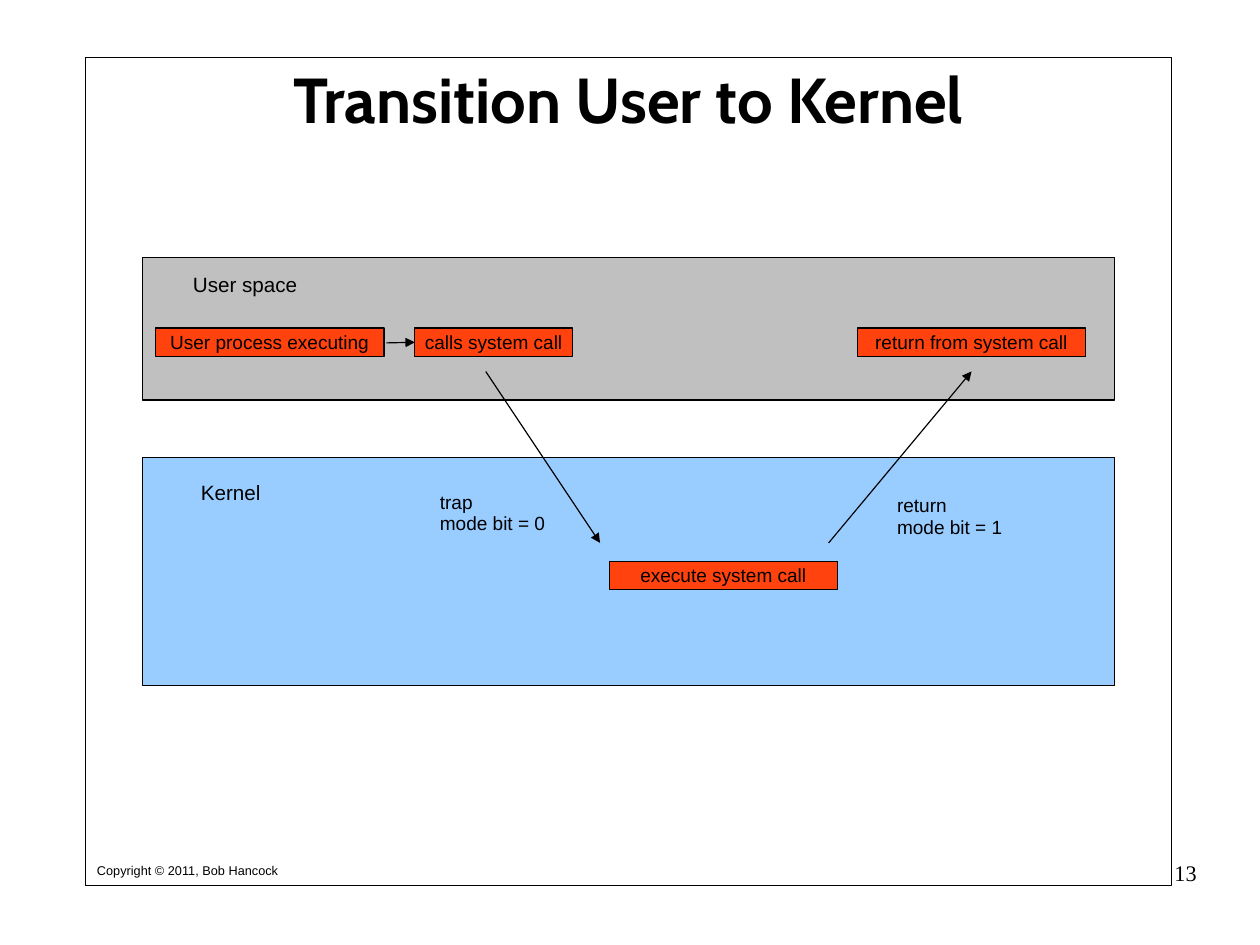
"""Build the slide on the transition from user space to the kernel."""
from lxml.etree import SubElement
from pptx import Presentation
from pptx.dml.color import RGBColor
from pptx.enum.shapes import MSO_CONNECTOR, MSO_SHAPE
from pptx.enum.text import MSO_ANCHOR, PP_ALIGN
from pptx.oxml.ns import qn
from pptx.util import Inches, Pt

BLACK = RGBColor(0x00, 0x00, 0x00)
GRAY = RGBColor(0xC0, 0xC0, 0xC0)
BLUE = RGBColor(0x99, 0xCC, 0xFF)
ORANGE = RGBColor(0xFF, 0x42, 0x0E)
INSETS = (0.1, 0.06, 0.1, 0.05)


def add_rect(left, top, width, height, color=None):
    rect = slide.shapes.add_shape(
        MSO_SHAPE.RECTANGLE, Inches(left), Inches(top), Inches(width), Inches(height))
    rect.shadow.inherit = False
    if color is None:
        rect.fill.background()
    else:
        rect.fill.solid()
        rect.fill.fore_color.rgb = color
    rect.line.color.rgb = BLACK
    rect.line.width = Pt(0.75)
    return rect


def write(shape, text, size, font="Arial", align=PP_ALIGN.LEFT, anchor=MSO_ANCHOR.TOP,
          insets=INSETS, wrap=True, spacing=0.93, bold=False):
    frame = shape.text_frame
    frame.text = text
    frame.word_wrap = wrap
    frame.vertical_anchor = anchor
    (frame.margin_left, frame.margin_top,
     frame.margin_right, frame.margin_bottom) = map(Inches, insets)
    for paragraph in frame.paragraphs:
        paragraph.alignment = align
        paragraph.line_spacing = spacing
        for run in paragraph.runs:
            run.font.name = font
            run.font.size = Pt(size)
            run.font.bold = bold
            run.font.color.rgb = BLACK


deck = Presentation()
deck.slide_width = Inches(11.024)
deck.slide_height = Inches(8.268)
slide = deck.slides.add_slide(deck.slide_layouts[6])

add_rect(0.75, 0.5, 9.5, 7.25)
add_rect(1.25, 2.25, 8.5, 1.25, GRAY)
add_rect(1.25, 4, 8.5, 2, BLUE)

title = dict(font="Cabin", align=PP_ALIGN.CENTER, anchor=MSO_ANCHOR.MIDDLE,
             insets=(0, 0.02, 0, 0), spacing=0.97, bold=True)
number = dict(font="Times New Roman", align=PP_ALIGN.RIGHT, insets=(0, 0, 0, 0))
labels = [
    ("Transition User to Kernel", 0.75, 0.5, 9.5, 0.75, 40, title),
    ("Copyright © 2011, Bob Hancock", 0.75, 7.5, 1.79, 0.22, 8, dict(wrap=False)),
    ("User space", 1.59, 2.34, 1.25, 0.3, 13, {}),
    ("Kernel", 1.66, 4.16, 0.88, 0.3, 13, {}),
    ("trap\vmode bit = 0", 3.75, 4.25, 1.25, 0.47, 12, {}),
    ("return\vmode bit = 1", 7.75, 4.28, 1.25, 0.47, 12, {}),
    ("13", 7.9, 7.54, 2.57, 0.57, 14, number),
]
for text, left, top, width, height, size, style in labels:
    box = slide.shapes.add_textbox(
        Inches(left), Inches(top), Inches(width), Inches(height))
    write(box, text, size, **style)

steps = {}
for text, left, top, width in [
    ("User process executing", 1.36, 2.87, 2),
    ("calls system call", 3.63, 2.87, 1.38),
    ("execute system call", 5.33, 4.91, 2),
    ("return from system call", 7.5, 2.87, 2),
]:
    steps[text] = add_rect(left, top, width, 0.25, ORANGE)
    write(steps[text], text, 12, align=PP_ALIGN.CENTER,
          anchor=MSO_ANCHOR.MIDDLE, wrap=False)

arrows = []
for ends in [(3.38, 3, 3.63, 3), (4.25, 3.25, 5.25, 4.75), (7.25, 4.75, 8.5, 3.25)]:
    arrow = slide.shapes.add_connector(MSO_CONNECTOR.STRAIGHT, *map(Inches, ends))
    arrow.line.color.rgb = BLACK
    arrow.line.width = Pt(0.75)
    SubElement(arrow.line._get_or_add_ln(), qn("a:tailEnd"), type="triangle")
    SubElement(arrow._element.spPr, qn("a:effectLst"))
    arrows.append(arrow)
arrows[0].end_connect(steps["calls system call"], 1)

deck.save("out.pptx")
